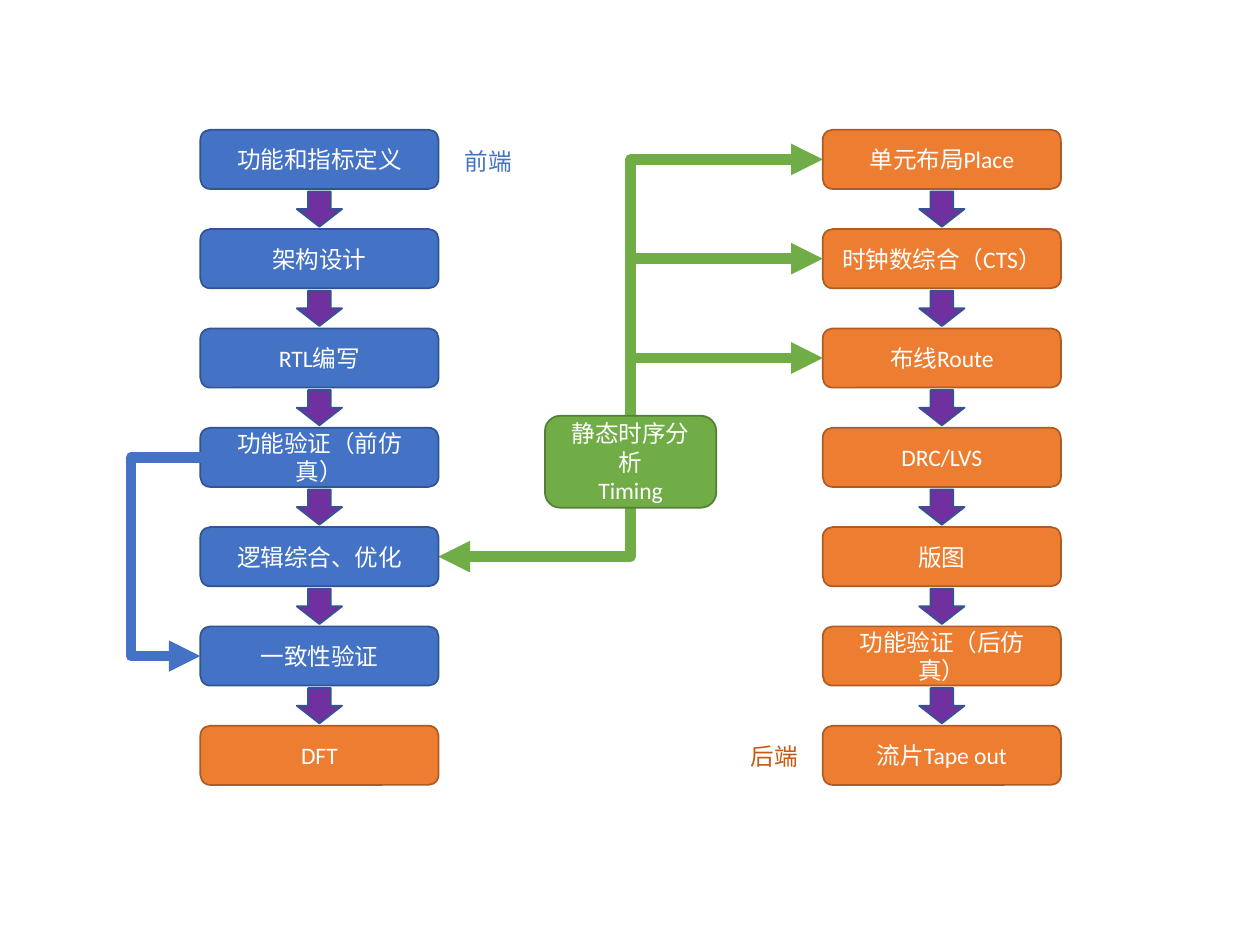
from lxml.etree import SubElement
from pptx import Presentation
from pptx.dml.color import RGBColor
from pptx.enum.shapes import MSO_CONNECTOR, MSO_SHAPE
from pptx.enum.text import MSO_ANCHOR, MSO_AUTO_SIZE, PP_ALIGN
from pptx.oxml.ns import qn
from pptx.util import Inches, Pt

COLORS = {
    "front": "4472C4", "front_edge": "325491",
    "back": "ED7D31", "back_edge": "AF5C24", "back_label": "C55A11",
    "timing": "70AD47", "timing_edge": "538035",
    "step": "7030A0", "white": "FFFFFF",
}
FONT = {"name": "Calibri", "size": Pt(13.5)}
STAGE_FRAME = {"word_wrap": True, "vertical_anchor": MSO_ANCHOR.MIDDLE}
LABEL_FRAME = {"word_wrap": False, "auto_size": MSO_AUTO_SIZE.SHAPE_TO_FIT_TEXT}

FRONT_LEFT, BACK_LEFT, TOP = 1.59, 6.53, 1.03
STAGE_W, STAGE_H = 1.89, 0.47
ROWS = 7
PITCH = (5.76 - TOP) / (ROWS - 1)
STEP_W, STEP_H = 0.28, 0.36
FRONT_RIGHT = FRONT_LEFT + STAGE_W
TRUNK = (FRONT_RIGHT + BACK_LEFT) / 2

FRONT_STAGES = [
    ("功能和指标定义", "front"), ("架构设计", "front"), ("RTL编写", "front"),
    ("功能验证（前仿真）", "front"), ("逻辑综合、优化", "front"),
    ("一致性验证", "front"), ("DFT", "back"),
]
BACK_STAGES = [(stage, "back") for stage in (
    "单元布局Place", "时钟数综合（CTS）", "布线Route", "DRC/LVS",
    "版图", "功能验证（后仿真）", "流片Tape out")]


def rgb(key):
    """Return the named colour."""
    return RGBColor.from_string(COLORS[key])


def row_middle(row):
    """Return the vertical centre of a row of stages."""
    return TOP + row * PITCH + STAGE_H / 2


def apply(target, values):
    """Set each attribute in values on target."""
    for attribute, value in values.items():
        setattr(target, attribute, value)


def write(frame, text, color, frame_format, align):
    """Fill a text frame, one paragraph per line."""
    apply(frame, frame_format)
    frame.text = text
    for paragraph in frame.paragraphs:
        paragraph.alignment = align
        for run in paragraph.runs:
            apply(run.font, FONT)
            run.font.color.rgb = rgb(color)


def add_block(slide, preset, box, fill, edge):
    """Add a filled preset shape in box (left, top, width, height)."""
    block = slide.shapes.add_shape(preset, *map(Inches, box))
    block.shadow.inherit = False
    block.fill.solid()
    block.fill.fore_color.rgb = rgb(fill)
    block.line.color.rgb = rgb(edge)
    block.line.width = Pt(1)
    return block


def add_stage(slide, box, text, kind):
    """Add a rounded stage with centred white text."""
    stage = add_block(slide, MSO_SHAPE.ROUNDED_RECTANGLE, box, kind, kind + "_edge")
    write(stage.text_frame, text, "white", STAGE_FRAME, PP_ALIGN.CENTER)


def add_flow(slide, left, stages):
    """Add a column of stages joined by downward block arrows."""
    for row, (text, kind) in enumerate(stages):
        top = TOP + row * PITCH
        add_stage(slide, (left, top, STAGE_W, STAGE_H), text, kind)
        if row < len(stages) - 1:
            center = left + STAGE_W / 2
            gap_middle = top + (STAGE_H + PITCH) / 2
            box = (center - STEP_W / 2, gap_middle + 0.03 - STEP_H / 2 - 0.03,
                   STEP_W, STEP_H)
            step = add_block(slide, MSO_SHAPE.RIGHT_ARROW, box, "step", "front_edge")
            step.rotation = 90


def add_link(slide, kind, start, end, color, ends=("tailEnd",), bend=None):
    """Add a thick arrow; bend is the elbow's offset as a multiple of its width."""
    link = slide.shapes.add_connector(kind, *map(Inches, (*start, *end)))
    link.line.color.rgb = rgb(color)
    link.line.width = Pt(6)
    properties = link._element.spPr
    outline = properties.find(qn("a:ln"))
    for end_name in ends:
        SubElement(outline, qn("a:" + end_name), type="triangle")
    SubElement(properties, qn("a:effectLst"))
    if bend is not None:
        geometry = properties.find(qn("a:prstGeom"))
        guides = geometry.find(qn("a:avLst"))
        if guides is None:
            guides = SubElement(geometry, qn("a:avLst"))
        SubElement(guides, qn("a:gd"), name="adj1", fmla=f"val {round(bend * 100000)}")


def add_timing(slide):
    """Add the timing analysis stage and its branches to the back end."""
    for row in (1, 2):
        middle = row_middle(row)
        add_link(slide, MSO_CONNECTOR.STRAIGHT, (TRUNK, middle),
                 (BACK_LEFT, middle), "timing")
    width, height = 1.36, 0.73
    box = (TRUNK - width / 2, 3.3, width, height)
    add_stage(slide, box, "静态时序分析\nTiming", "timing")


def add_label(slide, left, top, text, color):
    """Add a side label naming a flow."""
    label = slide.shapes.add_textbox(*map(Inches, (left, top, 0.58, 0.33)))
    write(label.text_frame, text, color, LABEL_FRAME, PP_ALIGN.LEFT)


def build():
    """Build and save the chip design flow slide."""
    deck = Presentation()
    deck.slide_width, deck.slide_height = Inches(10), Inches(7.5)
    slide = deck.slides.add_slide(deck.slide_layouts[6])
    add_link(slide, MSO_CONNECTOR.ELBOW, (FRONT_RIGHT, row_middle(4)),
             (BACK_LEFT, row_middle(0)), "timing", ("headEnd", "tailEnd"))
    add_flow(slide, FRONT_LEFT, FRONT_STAGES)
    add_flow(slide, BACK_LEFT, BACK_STAGES)
    add_timing(slide)
    add_link(slide, MSO_CONNECTOR.ELBOW, (FRONT_LEFT + 0.01, row_middle(3)),
             (FRONT_LEFT, row_middle(5)), "front", bend=57)
    add_label(slide, 3.59, 1.12, "前端", "front")
    add_label(slide, 5.86, 5.84, "后端", "back_label")
    deck.save("out.pptx")


build()
